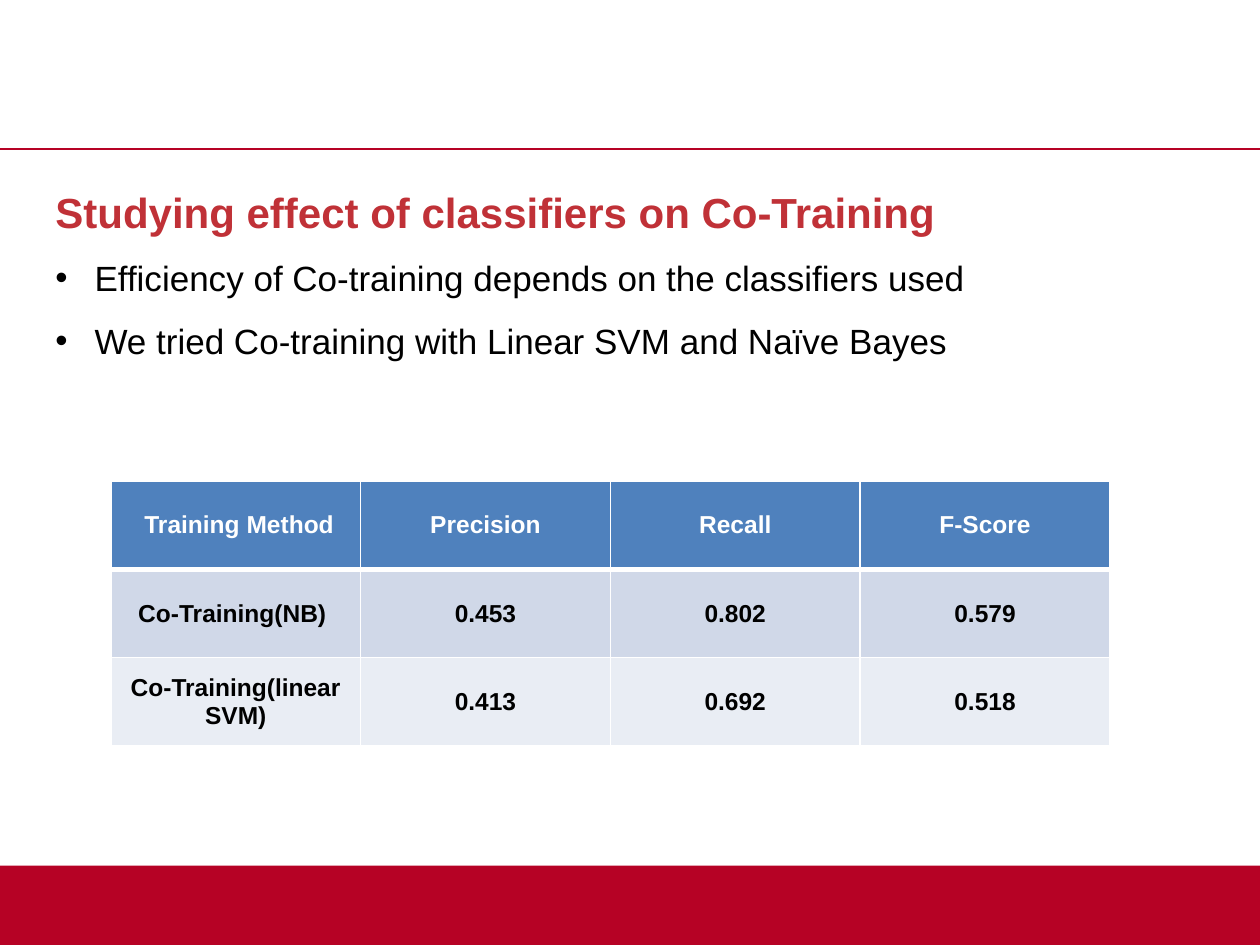
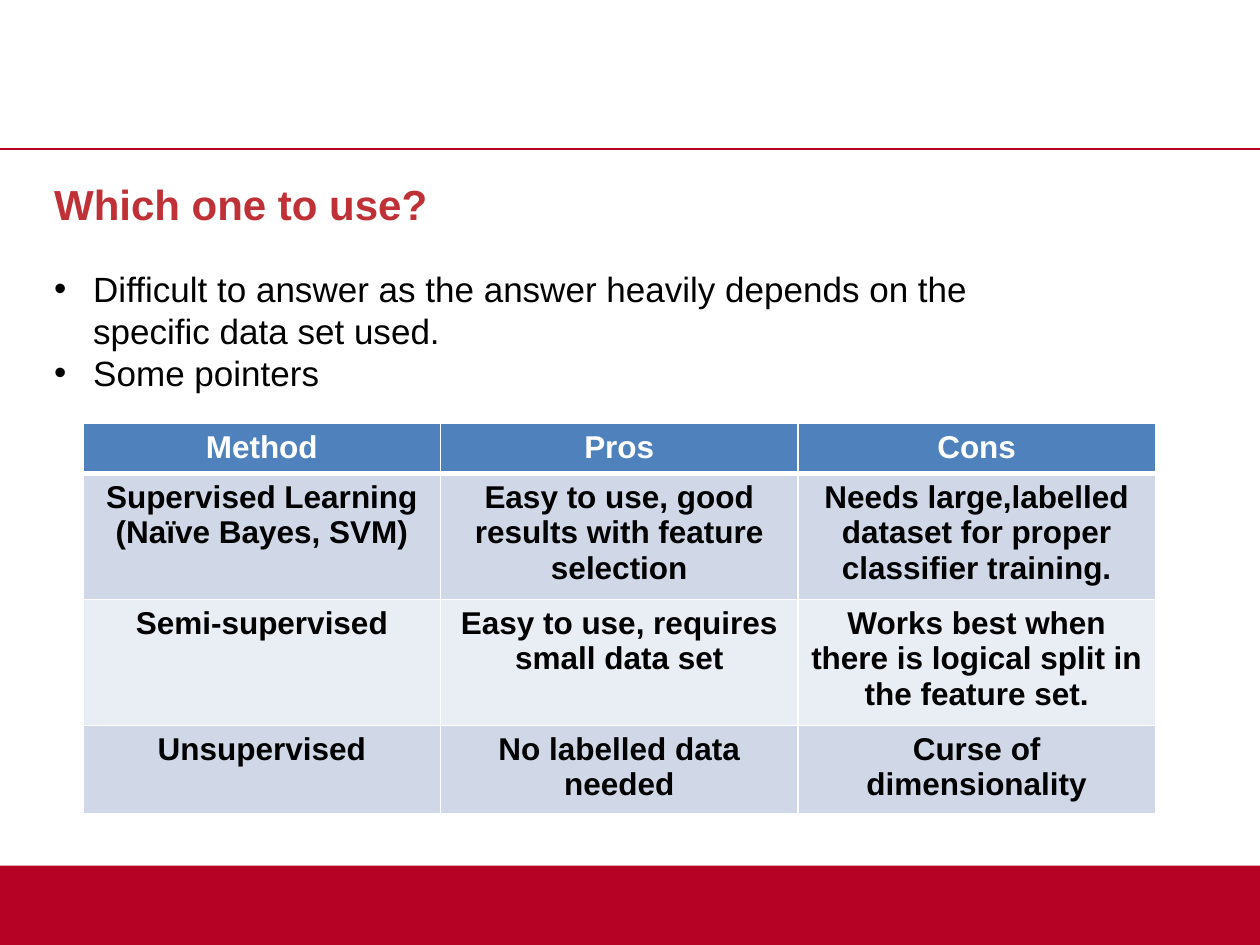
from dataclasses import dataclass

from lxml.etree import SubElement
from pptx import Presentation
from pptx.dml.color import RGBColor
from pptx.enum.shapes import MSO_CONNECTOR, MSO_SHAPE
from pptx.enum.text import MSO_ANCHOR, MSO_AUTO_SIZE, PP_ALIGN
from pptx.oxml.ns import qn
from pptx.slide import Slide
from pptx.util import Inches, Pt

# Shared look
FONT = "Arial"
BAND = RGBColor(0xB6, 0x02, 0x25)
RED = RGBColor(0xC0, 0x31, 0x37)
BLACK = RGBColor(0, 0, 0)
WHITE = RGBColor(0xFF, 0xFF, 0xFF)
HEAD = RGBColor(0x4F, 0x81, 0xBD)
ROWS = (RGBColor(0xD0, 0xD8, 0xE8), RGBColor(0xE9, 0xED, 0xF4))
WIDE, HIGH = Inches(10), Inches(7.5)


@dataclass
class Box:
    left: float
    top: float
    width: float
    height: float


@dataclass
class Grid:
    box: Box
    heights: list[float]
    cells: list[list[str]]
    size: int
    inset: tuple[float, float]
    anchor: MSO_ANCHOR


@dataclass
class Page:
    title: str
    head: Box
    points: list[str]
    body: Box
    spacing: float
    grid: Grid


def place(shape, box: Box) -> None:
    shape.left, shape.top = Inches(box.left), Inches(box.top)
    shape.width, shape.height = Inches(box.width), Inches(box.height)


def add_run(para, text: str, size: int, color: RGBColor, bold: bool) -> None:
    run = para.add_run()
    run.text = text
    font = run.font
    font.name, font.size, font.bold = FONT, Pt(size), bold
    font.color.rgb = color


def add_frame(slide: Slide) -> None:
    """Footer band and the rule below the header."""
    band = slide.shapes.add_shape(MSO_SHAPE.RECTANGLE, 0, Inches(6.87), WIDE, Inches(0.63))
    band.shadow.inherit = False
    band.fill.solid()
    band.fill.fore_color.rgb = BAND
    band.line.fill.background()
    rule = slide.shapes.add_connector(
        MSO_CONNECTOR.STRAIGHT, 0, Inches(1.18), WIDE, Inches(1.18))
    rule.line.color.rgb = BAND
    rule.line.width = Pt(1)
    SubElement(rule._element.spPr, qn("a:effectLst"))


def set_frame(shape, box: Box):
    place(shape, box)
    frame = shape.text_frame
    frame.word_wrap = True
    frame.auto_size = MSO_AUTO_SIZE.NONE
    frame.vertical_anchor = MSO_ANCHOR.TOP
    frame.margin_top = frame.margin_bottom = 0
    return frame


def add_title(slide: Slide, page: Page) -> None:
    para = set_frame(slide.shapes.title, page.head).paragraphs[0]
    para.alignment = PP_ALIGN.LEFT
    add_run(para, page.title, 24, RED, True)


def add_points(slide: Slide, page: Page) -> None:
    frame = set_frame(slide.placeholders[1], page.body)
    for i, text in enumerate(page.points):
        para = frame.add_paragraph() if i else frame.paragraphs[0]
        props = para._p.get_or_add_pPr()
        props.set("marL", str(Inches(0.31)))
        props.set("indent", str(-Inches(0.31)))
        SubElement(props, qn("a:buFont"), typeface=FONT)
        SubElement(props, qn("a:buChar"), char="•")
        para.space_before = Pt(0)
        para.line_spacing = page.spacing
        add_run(para, text, 20, BLACK, False)


def add_edge(cell, side: str, width: float) -> None:
    props = cell._tc.get_or_add_tcPr()
    line = SubElement(props, qn(f"a:ln{side}"), w=str(Pt(width)))
    fill = SubElement(line, qn("a:solidFill"))
    SubElement(fill, qn("a:srgbClr"), val=str(WHITE))


def add_grid(slide: Slide, grid: Grid) -> None:
    box, cols = grid.box, len(grid.cells[0])
    table = slide.shapes.add_table(
        len(grid.cells), cols, Inches(box.left), Inches(box.top),
        Inches(box.width), Inches(box.height)).table
    for col in table.columns:
        col.width = Inches(box.width / cols)
    for r, texts in enumerate(grid.cells):
        table.rows[r].height = Inches(grid.heights[r])
        for c, text in enumerate(texts):
            cell = table.cell(r, c)
            # The line under the header is thicker
            edges = {"L": 1, "R": 1, "T": 3 if r == 1 else 1, "B": 1 if r else 3}
            for side, width in edges.items():
                add_edge(cell, side, width)
            cell.fill.solid()
            cell.fill.fore_color.rgb = ROWS[(r - 1) % 2] if r else HEAD
            cell.margin_left = cell.margin_right = Inches(grid.inset[0])
            cell.margin_top = cell.margin_bottom = Inches(grid.inset[1])
            cell.vertical_anchor = grid.anchor
            para = cell.text_frame.paragraphs[0]
            para.alignment = PP_ALIGN.CENTER
            add_run(para, text, grid.size, BLACK if r else WHITE, True)


PAGES = [
    Page(
        "Studying effect of classifiers on Co-Training", Box(0.34, 1.48, 7.86, 0.4),
        ["Efficiency of Co-training depends on the classifiers used",
         "We tried Co-training with Linear SVM and Naïve Bayes"],
        Box(0.34, 1.87, 7.86, 0.96), 1.5,
        Grid(Box(0.88, 3.82, 7.93, 2.1), [0.7] * 3, [
            [" Training Method", "Precision", "Recall", "F-Score"],
            ["Co-Training(NB) ", "0.453", "0.802", "0.579"],
            ["Co-Training(linear SVM)", "0.413", "0.692", "0.518"],
        ], 14, (0.07, 0), MSO_ANCHOR.MIDDLE)),
    Page(
        "Which one to use?", Box(0.33, 1.42, 7.47, 0.4),
        ["Difficult to answer as the answer heavily depends on the specific data set used.",
         "Some pointers"],
        Box(0.33, 2.12, 7.47, 1.02), 1.0,
        Grid(Box(0.66, 3.36, 8.51, 3.1), [0.4, 1, 1, 0.7], [
            ["Method", "Pros", "Cons"],
            ["Supervised Learning (Naïve Bayes, SVM)",
             "Easy to use, good results with feature selection",
             "Needs large,labelled dataset for proper classifier training."],
            ["Semi-supervised", "Easy to use, requires small data set",
             "Works best when there is logical split in the feature set."],
            ["Unsupervised", "No labelled data needed", "Curse of dimensionality"],
        ], 18, (0.1, 0.05), MSO_ANCHOR.TOP)),
]


def main() -> None:
    deck = Presentation()
    deck.slide_width, deck.slide_height = WIDE, HIGH
    for page in PAGES:
        slide = deck.slides.add_slide(deck.slide_layouts[1])
        add_frame(slide)
        add_title(slide, page)
        add_points(slide, page)
        add_grid(slide, page.grid)
    deck.save("out.pptx")


if __name__ == "__main__":
    main()
